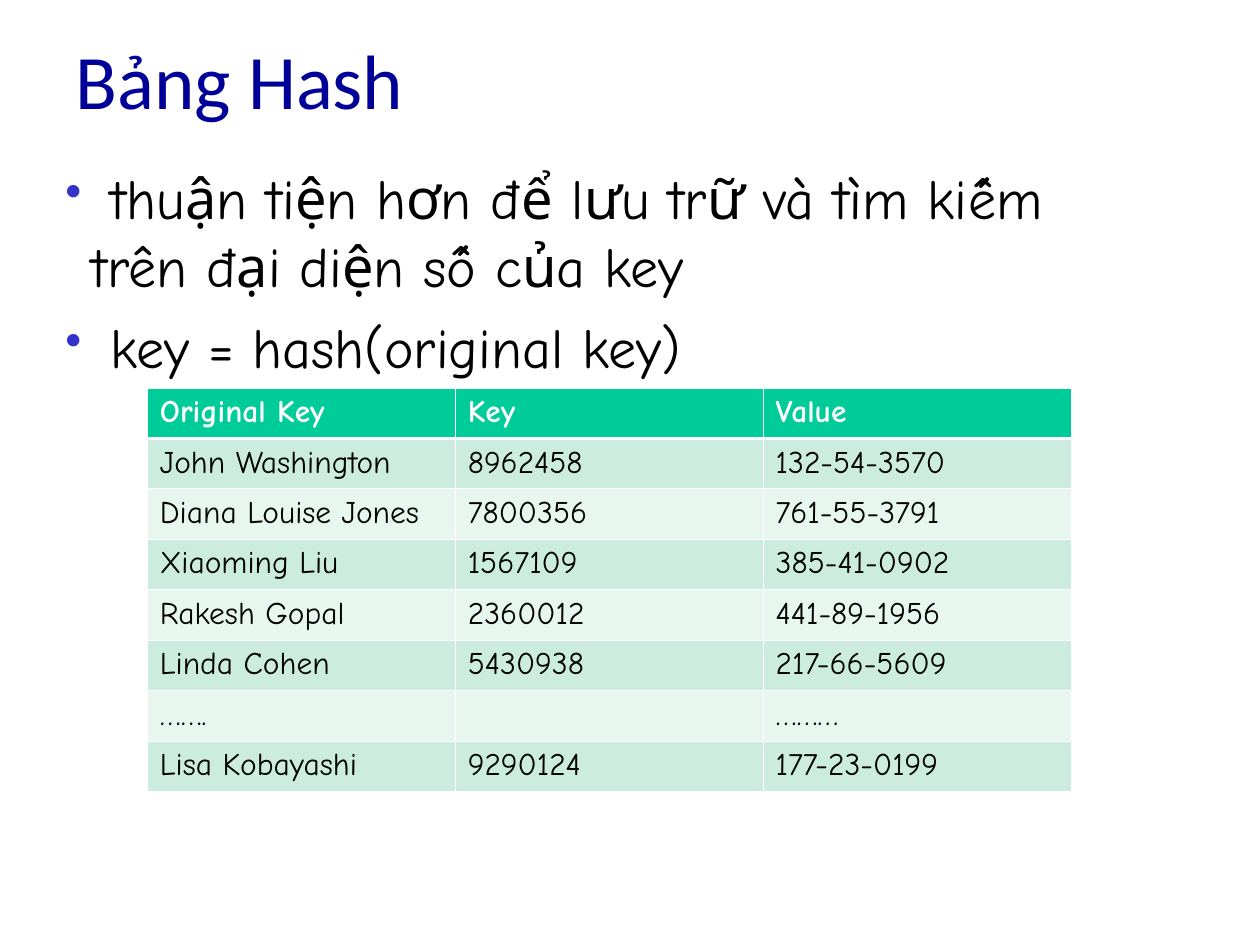
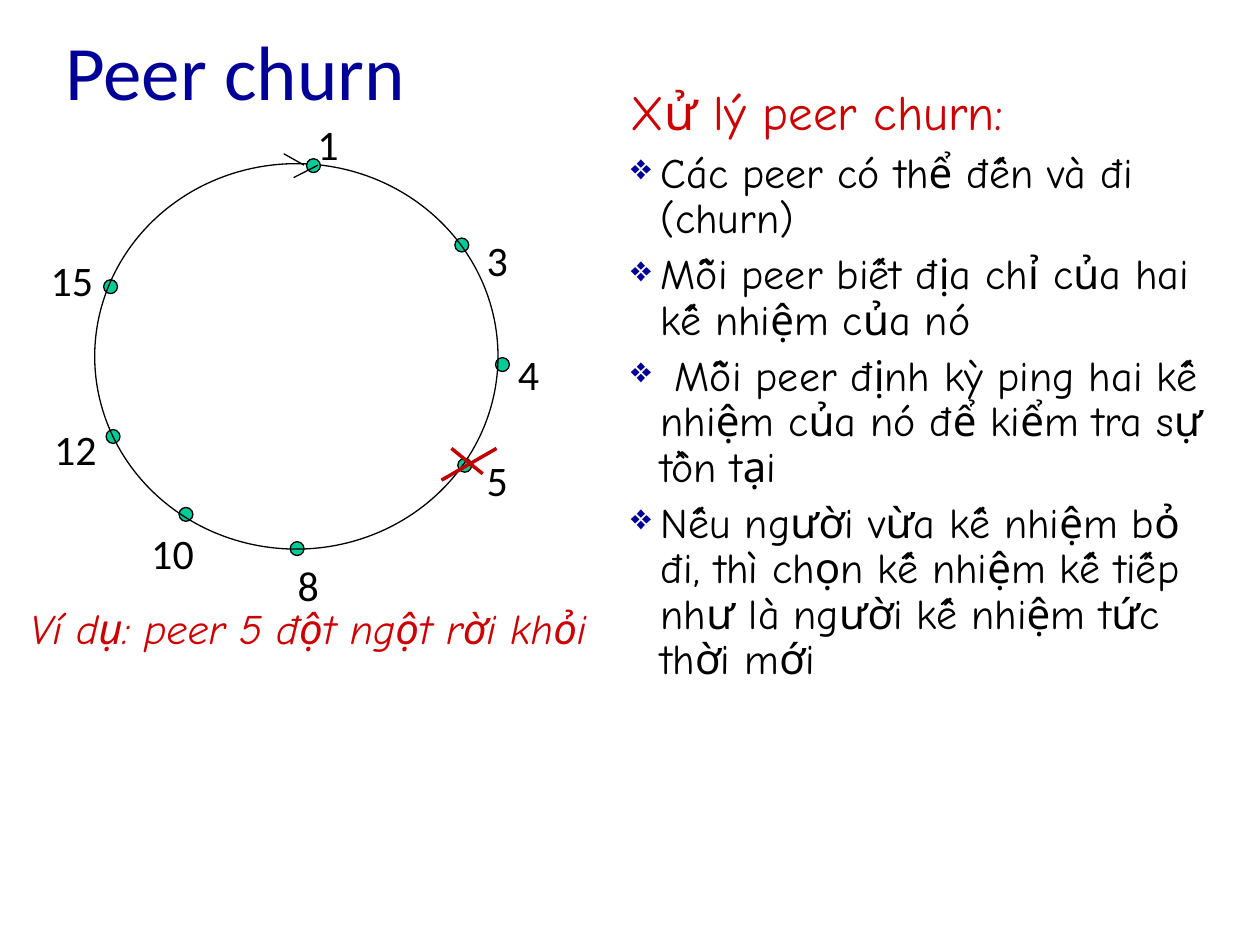
from lxml import etree
from pptx import Presentation
from pptx.dml.color import RGBColor
from pptx.enum.shapes import MSO_CONNECTOR, MSO_SHAPE
from pptx.enum.text import MSO_ANCHOR
from pptx.oxml.ns import qn
from pptx.util import Cm, Pt

LINE, OVAL = MSO_CONNECTOR.STRAIGHT, MSO_SHAPE.OVAL
TOP, MID = MSO_ANCHOR.TOP, MSO_ANCHOR.MIDDLE

NAVY, BLUE, RED, CROSS = "000099", "3333CC", "CC0000", "C00000"
GREEN, MINT, PALE = "00CC99", "CBECDE", "E7F6EF"
BLACK, WHITE = "000000", "FFFFFF"
SANS, HAND = "Calibri", "Comic Neue"

HEAD = {"name": SANS, "size": Pt(44), "color": NAVY}
MARK = {"name": SANS, "size": Pt(24), "color": BLACK}
LARGE = {"name": HAND, "size": Pt(32), "color": BLACK}
ITEM = {"name": HAND, "size": Pt(24), "color": BLACK}
LEAD = {"name": HAND, "size": Pt(28), "color": RED}
NOTE = {"name": HAND, "size": Pt(24), "color": RED, "italic": True}
CELL = {"name": HAND, "size": Pt(18), "color": BLACK, "bold": False}
TOPIC = {**CELL, "color": WHITE, "bold": True}

ROWS = [
    ("Original Key", "Key", "Value"),
    ("John Washington", "8962458", "132-54-3570"),
    ("Diana Louise Jones", "7800356", "761-55-3791"),
    ("Xiaoming Liu", "1567109", "385-41-0902"),
    ("Rakesh Gopal", "2360012", "441-89-1956"),
    ("Linda Cohen", "5430938", "217-66-5609"),
    ("…….", "", "………"),
    ("Lisa Kobayashi", "9290124", "177-23-0199"),
]
# Peer number, then corner of its dot and of its label from the ring's corner
PEERS = [
    ("3", (7.26, 1.5), (7.65, 1.3)),
    ("4", (8.08, 3.91), (8.28, 3.61)),
    ("5", (7.32, 5.94), (7.65, 5.74)),
    ("8", (3.94, 7.62), (3.84, 7.85)),
    ("10", (1.7, 6.93), (0.89, 7.21)),
    ("12", (0.23, 5.36), (-1.07, 5.11)),
    ("15", (0.18, 2.34), (-1.14, 1.7)),
    ("1", (4.27, -0.1), (4.24, -1.04)),
]
# Start, end, colour and width of each stroke, from the ring's corner
STROKES = [
    ((3.81, -0.2), (4.22, 0.03), BLACK, 0.75),
    ((4.5, 0.03), (4.01, 0.28), BLACK, 0.75),
    ((7.19, 5.74), (7.82, 6.25), CROSS, 2),
    ((8.1, 5.74), (6.99, 6.38), CROSS, 2),
]


def shade(code):
    return RGBColor.from_string(code)


def style(font, form):
    for key, val in form.items():
        if key == "color":
            font.color.rgb = shade(val)
        else:
            setattr(font, key, val)


def bullet(para, sign, color, hang):
    """Give a paragraph a hanging bullet."""
    props = para._p.get_or_add_pPr()
    props.set("marL", str(Cm(hang)))
    props.set("indent", str(-Cm(hang)))
    tint = etree.SubElement(props, qn("a:buClr"))
    etree.SubElement(tint, qn("a:srgbClr"), val=color)
    etree.SubElement(props, qn("a:buSzPct"), val="85000")
    etree.SubElement(props, qn("a:buChar"), char=sign)


def write(slide, box, parts, wrap=True, anchor=TOP):
    """Add a text box; parts are (text, font, paragraph values, bullet)."""
    frame = slide.shapes.add_textbox(*map(Cm, box)).text_frame
    frame.word_wrap, frame.vertical_anchor = wrap, anchor
    for i, (text, form, gaps, sign) in enumerate(parts):
        para = frame.add_paragraph() if i else frame.paragraphs[0]
        if sign:
            bullet(para, *sign)
        for key, val in gaps.items():
            if i or key != "space_before":
                setattr(para, key, val)
        run = para.add_run()
        run.text = text
        style(run.font, form)


def title(slide, box, text):
    write(slide, box, [(text, HEAD, {}, None)], anchor=MID)


def edge(cell, side, width):
    """Draw one white cell border."""
    line = etree.SubElement(cell._tc.get_or_add_tcPr(), qn("a:" + side),
                            w=str(Pt(width)))
    fill = etree.SubElement(line, qn("a:solidFill"))
    etree.SubElement(fill, qn("a:srgbClr"), val=WHITE)


def grid(slide, box):
    """Table of keys and values."""
    table = slide.shapes.add_table(len(ROWS), len(ROWS[0]),
                                   *map(Cm, box)).table
    for r, row in enumerate(ROWS):
        for c, text in enumerate(row):
            cell = table.cell(r, c)
            for side in ("lnL", "lnR", "lnT", "lnB"):
                thick = (r, side) in ((0, "lnB"), (1, "lnT"))
                edge(cell, side, 1.47 if thick else 0.45)
            cell.fill.solid()
            cell.fill.fore_color.rgb = shade(
                (MINT if r % 2 else PALE) if r else GREEN)
            if text:
                run = cell.text_frame.paragraphs[0].add_run()
                run.text = text
                style(run.font, CELL if r else TOPIC)


def oval(slide, box, fill=None):
    shape = slide.shapes.add_shape(OVAL, *map(Cm, box))
    shape.shadow.inherit = False
    if fill:
        shape.fill.solid()
        shape.fill.fore_color.rgb = shade(fill)
    else:
        shape.fill.background()
    shape.line.color.rgb = shade(BLACK)
    shape.line.width = Pt(0.75)


def stroke(slide, start, end, color, width):
    line = slide.shapes.add_connector(LINE, *map(Cm, start + end))
    etree.SubElement(line._element.spPr, qn("a:effectLst"))
    line.line.color.rgb = shade(color)
    line.line.width = Pt(width)


def ring(slide, box):
    """Circle of peers, with an arrow at peer 1 and a cross on peer 5."""
    left, top = box[:2]

    def place(spot):
        return left + spot[0], top + spot[1]

    for name, dot, label in PEERS:
        if name == "1":  # the first peer lies over the circle
            oval(slide, box)
        oval(slide, (*place(dot), 0.28, 0.28), GREEN)
        wide = 0.94 if len(name) == 1 else 1.37
        write(slide, (*place(label), wide, 1.27),
              [(name, MARK, {}, None)], wrap=False)
    for start, end, color, width in STROKES:
        stroke(slide, place(start), place(end), color, width)


def hash_slide(slide):
    title(slide, (1.27, 0, 22.86, 3.18), "Bảng Hash")
    sign, gaps = ("•", BLUE, 0.53), {"space_before": Pt(8)}
    lines = [" thuận tiện hơn để lưu trữ và tìm kiếm trên đại diện số của key",
             " key = hash(original key)"]
    write(slide, (1.07, 3.18, 22.43, 6.25),
          [(text, LARGE, gaps, sign) for text in lines])
    grid(slide, (2.97, 7.82, 18.62, 8.13))


def churn_slide(slide):
    title(slide, (1.07, 0, 22.86, 2.82), "Peer churn")
    write(slide, (0.36, 12.14, 22.86, 5.92),
          [("Ví dụ: peer 5 đột ngột rời khỏi", NOTE,
            {"line_spacing": 0.9}, None)])
    ring(slide, (1.91, 3.3, 8.13, 7.77))
    # Rules for handling churn
    sign = ("❖", NAVY, 0.6)
    gaps = {"space_before": Pt(6), "line_spacing": Pt(26)}
    lines = [
        "Các peer có thể đến và đi (churn)",
        "Mỗi peer biết địa chỉ của hai kế nhiệm của nó",
        " Mỗi peer định kỳ ping hai kế nhiệm của nó để kiểm tra sự tồn tại",
        "Nếu người vừa kế nhiệm bỏ đi, thì chọn kế nhiệm kế tiếp "
        "như là người kế nhiệm tức thời mới",
    ]
    write(slide, (12.47, 1.52, 12.29, 12.37),
          [("Xử lý peer churn:", LEAD, {}, None)]
          + [(text, ITEM, gaps, sign) for text in lines])


def main():
    deck = Presentation()
    deck.slide_width, deck.slide_height = Cm(25.4), Cm(19.05)
    for build in (hash_slide, churn_slide):
        build(deck.slides.add_slide(deck.slide_layouts[6]))
    deck.save("out.pptx")


if __name__ == "__main__":
    main()
